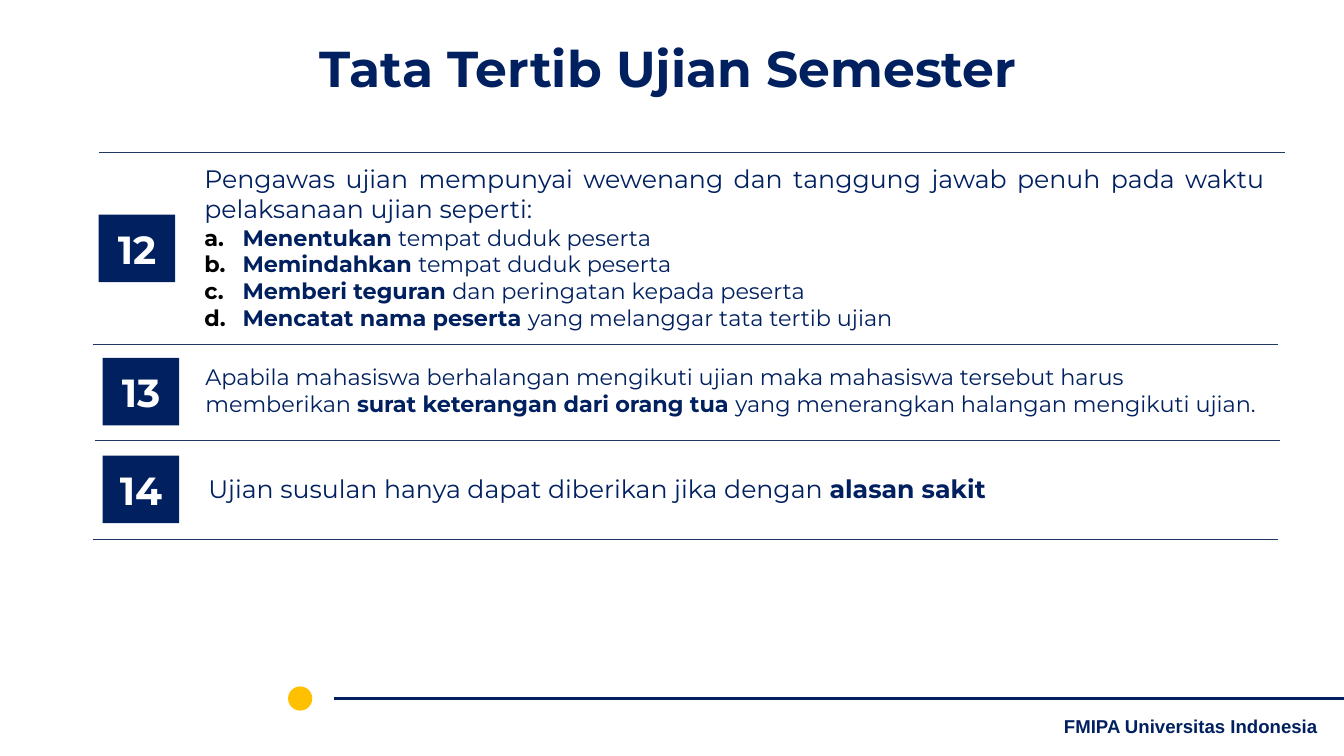
from dataclasses import dataclass

import pptx
import pptx.dml.color
import pptx.enum.shapes
import pptx.enum.text
import pptx.oxml.ns
import pptx.util
from lxml import etree
from pptx.util import Inches

ALIGN = pptx.enum.text.PP_ALIGN
ANCHOR = pptx.enum.text.MSO_ANCHOR
SHAPE = pptx.enum.shapes.MSO_SHAPE


@dataclass(frozen=True)
class Theme:
    navy: str = "002060"
    rule: str = "1F3864"
    gold: str = "FFC000"
    white: str = "FFFFFF"
    black: str = "000000"
    font: str = "Montserrat"
    footer_font: str = "Arial"
    title_size: float = 36
    number_size: float = 28
    lead_size: float = 18
    detail_size: float = 16
    footer_size: float = 13.3


THEME = Theme()

DUTIES = [
    ("Menentukan ", "tempat duduk peserta"),
    ("Memindahkan ", "tempat duduk peserta"),
    ("Memberi teguran ", "dan peringatan kepada peserta"),
    ("Mencatat nama peserta ", "yang melanggar tata tertib ujian"),
]


def rgb(code):
    return pptx.dml.color.RGBColor.from_string(code)


def style(paragraph, size, color=THEME.navy, font=THEME.font, bold=None):
    paragraph.font.size = pptx.util.Pt(size)
    paragraph.font.name = font
    paragraph.font.color.rgb = rgb(color)
    paragraph.font.bold = bold


def add_runs(paragraph, runs):
    """Fill a paragraph with (text, bold) pairs."""
    for text, bold in runs:
        run = paragraph.add_run()
        run.text = text
        run.font.bold = bold


def letter_item(paragraph):
    """Give a paragraph a hanging indent and an automatic black letter."""
    properties = paragraph._p.get_or_add_pPr()
    properties.set("marL", str(Inches(0.38)))
    properties.set("indent", str(-Inches(0.38)))
    qn = pptx.oxml.ns.qn
    color = etree.SubElement(properties, qn("a:buClr"))
    etree.SubElement(color, qn("a:srgbClr"), val=THEME.black)
    etree.SubElement(properties, qn("a:buFont"), typeface="+mj-lt")
    etree.SubElement(properties, qn("a:buAutoNum"), type="alphaLcPeriod")


def add_textbox(slide, left, top, width, height):
    box = slide.shapes.add_textbox(Inches(left), Inches(top), Inches(width), Inches(height))
    box.text_frame.word_wrap = True
    return box.text_frame


def add_rule(slide, left, right, y, color=THEME.rule, weight=0.75):
    rule = slide.shapes.add_connector(
        pptx.enum.shapes.MSO_CONNECTOR.STRAIGHT,
        Inches(left), Inches(y), Inches(right), Inches(y))
    rule.line.color.rgb = rgb(color)
    rule.line.width = pptx.util.Pt(weight)
    etree.SubElement(rule._element.spPr, pptx.oxml.ns.qn("a:effectLst"))


def add_solid(slide, kind, left, top, width, height, color):
    solid = slide.shapes.add_shape(
        kind, Inches(left), Inches(top), Inches(width), Inches(height))
    solid.shadow.inherit = False
    solid.fill.solid()
    solid.fill.fore_color.rgb = rgb(color)
    solid.line.fill.background()
    return solid


def add_number(slide, number, left, top):
    badge = add_solid(slide, SHAPE.RECTANGLE, left, top, 0.76, 0.67, THEME.navy)
    badge.text_frame.vertical_anchor = ANCHOR.MIDDLE
    paragraph = badge.text_frame.paragraphs[0]
    paragraph.text = str(number)
    paragraph.alignment = ALIGN.CENTER
    style(paragraph, THEME.number_size, THEME.white, bold=True)


def add_footer(slide):
    add_rule(slide, 3.32, 13.34, 6.93, THEME.navy, 1.5)
    add_solid(slide, SHAPE.OVAL, 2.86, 6.81, 0.24, 0.24, THEME.gold)
    frame = add_textbox(slide, 10.3, 7.08, 3.04, 0.25)
    frame.vertical_anchor = ANCHOR.MIDDLE
    paragraph = frame.paragraphs[0]
    paragraph.text = "FMIPA Universitas Indonesia"
    paragraph.alignment = ALIGN.CENTER
    style(paragraph, THEME.footer_size, font=THEME.footer_font, bold=True)


def add_title(slide, title):
    paragraph = add_textbox(slide, 0.4, 0.32, 12.46, 0.71).paragraphs[0]
    paragraph.text = title
    paragraph.alignment = ALIGN.CENTER
    style(paragraph, THEME.title_size, bold=True)


def add_supervisor_rule(slide):
    frame = add_textbox(slide, 1.93, 1.57, 10.72, 1.78)
    lead = frame.paragraphs[0]
    lead.text = ("Pengawas ujian mempunyai wewenang dan tanggung jawab penuh "
                 "pada waktu pelaksanaan ujian seperti:")
    lead.alignment = ALIGN.JUSTIFY
    style(lead, THEME.lead_size)
    for action, detail in DUTIES:
        duty = frame.add_paragraph()
        duty.alignment = ALIGN.JUSTIFY
        letter_item(duty)
        style(duty, THEME.detail_size)
        add_runs(duty, [(action, True), (detail, False)])


def add_plain_rule(slide, left, top, width, height, size, runs):
    paragraph = add_textbox(slide, left, top, width, height).paragraphs[0]
    style(paragraph, size)
    add_runs(paragraph, runs)


def main():
    deck = pptx.Presentation()
    deck.slide_width, deck.slide_height = Inches(13.34), Inches(7.5)
    slide = deck.slides.add_slide(deck.slide_layouts[6])

    add_footer(slide)
    add_title(slide, "Tata Tertib Ujian Semester")
    add_supervisor_rule(slide)
    add_plain_rule(slide, 1.94, 3.55, 10.75, 0.66, THEME.detail_size, [
        ("Apabila mahasiswa berhalangan mengikuti ujian maka mahasiswa "
         "tersebut harus memberikan ", False),
        ("surat keterangan dari orang tua ", True),
        ("yang menerangkan halangan mengikuti ujian.", False)])
    add_plain_rule(slide, 1.97, 4.65, 10.72, 0.4, THEME.lead_size, [
        ("Ujian susulan hanya dapat diberikan jika dengan ", False),
        ("alasan sakit", True)])

    for left, y in [(0.98, 1.51), (0.92, 3.42), (0.94, 4.37), (0.92, 5.35)]:
        add_rule(slide, left, left + 11.77, y)
    for number, left, top in [(12, 0.98, 2.13), (13, 1.02, 3.55), (14, 1.02, 4.52)]:
        add_number(slide, number, left, top)

    deck.save("out.pptx")


if __name__ == "__main__":
    main()
